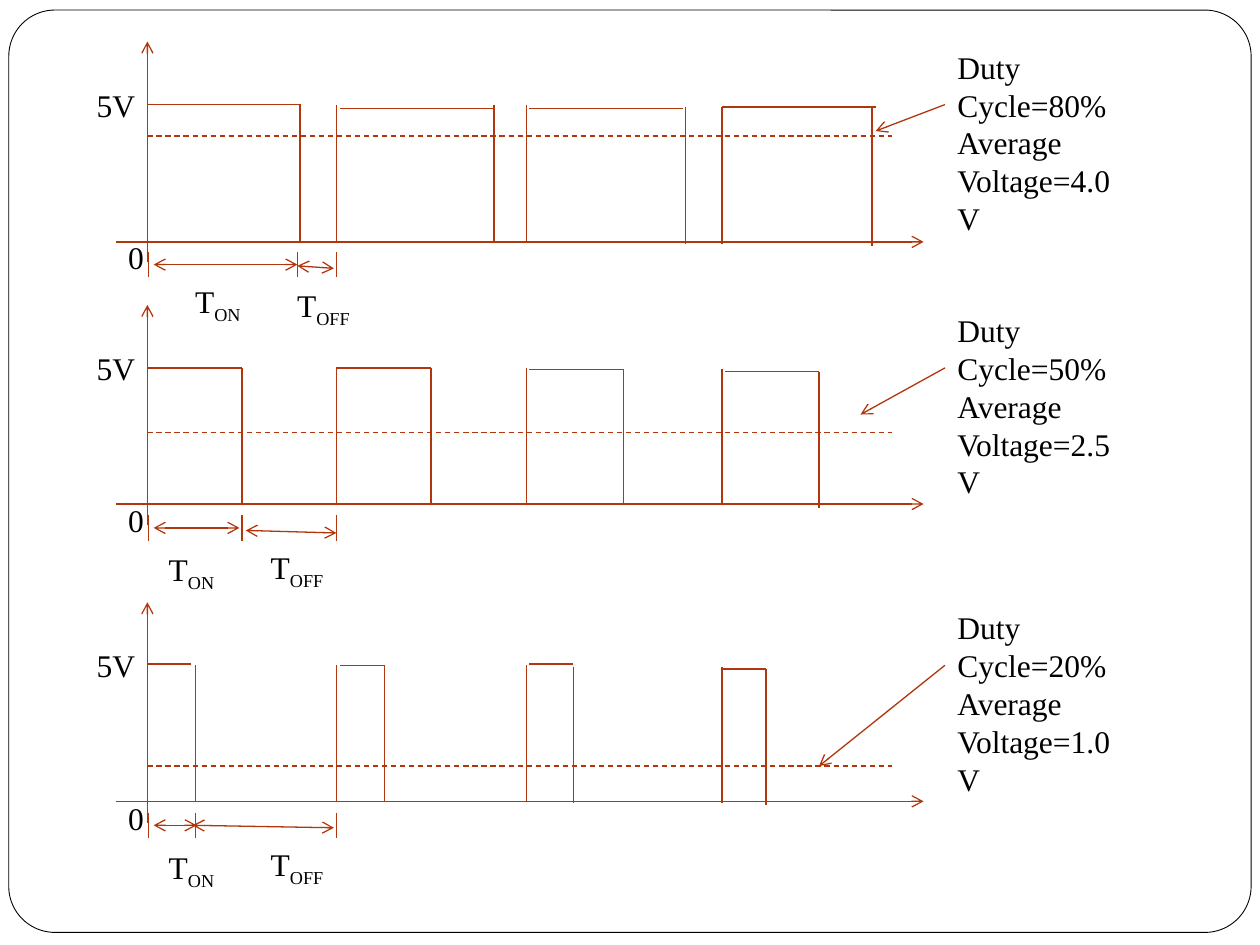
from dataclasses import dataclass
from lxml import etree
from pptx import Presentation
from pptx.dml.color import RGBColor
from pptx.enum.dml import MSO_LINE
from pptx.enum.shapes import MSO_CONNECTOR, MSO_SHAPE
from pptx.enum.text import PP_ALIGN
from pptx.oxml.ns import qn
from pptx.util import Inches, Pt

BLACK = RGBColor(0x00, 0x00, 0x00)
WHITE = RGBColor(0xFF, 0xFF, 0xFF)
RUST = RGBColor(0xB1, 0x36, 0x0B)
STRAIGHT, ROUNDED, DASH = MSO_CONNECTOR.STRAIGHT, MSO_SHAPE.ROUNDED_RECTANGLE, MSO_LINE.DASH
LEFT, RIGHT = PP_ALIGN.LEFT, PP_ALIGN.RIGHT
FONT = "Times New Roman"
COLS, ROWS = 100, 75
AXIS_X, PERIOD_X = 11.7, 26.7
RISES = (AXIS_X, PERIOD_X, 41.8, 57.3)
HIGH = 5


@dataclass(frozen=True)
class Pulse:
    """Top edge start, fall column, and the drops of both edges below 5 V."""
    start: float
    fall: float
    top_drop: float = 0
    fall_drop: float = 0


@dataclass(frozen=True)
class Wave:
    """One duty-cycle diagram; rows count down from its axis tip."""
    top: float
    base: float
    width: float
    last_rise_drop: float
    pulses: tuple[Pulse, ...]
    average: float
    pointer: tuple[float, float]
    note: tuple[str, ...]
    on_end: float
    on_tick: float
    off_span: tuple[float, float, float]
    on_label: tuple[float, float]
    off_label: tuple[float, float]


WAVES = (
    Wave(3.3, 15.9, 12.2, 0.2,
         (Pulse(AXIS_X, 23.8), Pulse(27, 39.2, 0.3), Pulse(42, 54.4, 0.3, 0.2),
          Pulse(57.3, 69.2, 0.2, 0.3)),
         7.5, (69.5, 7.1), ("Duty Cycle=80% Average Voltage=4.0V",),
         23.6, 23.6, (23.6, 26.5, 17.8), (14.5, 18.6), (22.6, 18.9)),
    Wave(24.2, 15.8, 7.5, 0.1,
         (Pulse(AXIS_X, 19.2), Pulse(PERIOD_X, 34.2), Pulse(42, 49.5, 0.1, 0.1),
          Pulse(57.5, 65, 0.3, 0.3)),
         10.1, (68.3, 8.7), ("Duty Cycle=50% Average Voltage=2.5V",),
         19, 19.2, (19.5, 26.7, 17.9), (12.4, 19), (20.5, 18.8)),
    Wave(47.8, 15.8, 3.5, 0.1,
         (Pulse(AXIS_X, 15.5, -0.1), Pulse(27, 30.5), Pulse(42, 45.5, -0.1, 0.1),
          Pulse(57.3, 60.8, 0.3, 0.3)),
         13, (65, 13), ("Duty Cycle=20%", "Average Voltage=1.0V"),
         15.6, 15.5, (15.3, 26.5, 17.7), (12.4, 19), (20.5, 18.8)),
)


@dataclass
class Canvas:
    """A slide measured in grid columns and rows."""
    shapes: object
    col: float
    row: float

    def line(self, x1: float, y1: float, x2: float, y2: float,
             head: bool = False, tail: bool = False, dashed: bool = False) -> None:
        """Draw a straight line with optional arrowheads."""
        c = self.shapes.add_connector(STRAIGHT, round(x1 * self.col), round(y1 * self.row),
                                      round(x2 * self.col), round(y2 * self.row))
        c.line.color.rgb = RUST
        c.line.width = Pt(0.75)
        if dashed:
            c.line.dash_style = DASH
        ln = c.line._get_or_add_ln()
        for tag, shown in (("a:headEnd", head), ("a:tailEnd", tail)):
            if shown:
                etree.SubElement(ln, qn(tag)).set("type", "arrow")
        etree.SubElement(c._element.spPr, qn("a:effectLst"))

    def text(self, x: float, y: float, w: float, h: float, lines: tuple[str, ...],
             align: PP_ALIGN = LEFT, sub: str = "", wrap: bool = True) -> None:
        """Place text, with an optional subscript after it."""
        tf = self.shapes.add_textbox(round(x * self.col), round(y * self.row),
                                     round(w * self.col), round(h * self.row)).text_frame
        tf.word_wrap = wrap
        for i, line in enumerate(lines):
            p = tf.add_paragraph() if i else tf.paragraphs[0]
            p.alignment = align
            p.font.name, p.font.size = FONT, Pt(18)
            p.font.color.rgb = BLACK
            p.add_run().text = line
            if sub:
                r = p.add_run()
                r.text = sub
                r.font._element.set("baseline", "-25000")

    def frame(self) -> None:
        """Draw the rounded slide border."""
        sp = self.shapes.add_shape(ROUNDED, round(0.7 * self.col), round(0.8 * self.row),
                                   round(98.6 * self.col), round(73.2 * self.row))
        sp.adjustments[0] = 0.05
        sp.shadow.inherit = False
        sp.fill.solid()
        sp.fill.fore_color.rgb = WHITE
        sp.line.color.rgb = BLACK
        sp.line.width = Pt(0.5)


def draw_wave(cv: Canvas, wave: Wave) -> None:
    """Draw axes, pulses, average level, timing marks and labels."""
    top, high, base = wave.top, wave.top + HIGH, wave.top + wave.base
    cv.line(9.2, base, 73.3, base, tail=True)
    cv.line(AXIS_X, top + 17.5, AXIS_X, top, tail=True)
    for x in RISES[1:]:
        drop = wave.last_rise_drop if x == RISES[-1] else 0
        cv.line(x, high + drop, x, base + drop)
    for pulse in wave.pulses:
        y = high + pulse.top_drop
        cv.line(pulse.start, y, pulse.start + wave.width, y)
        cv.line(pulse.fall, high + pulse.fall_drop, pulse.fall, base + pulse.fall_drop)
    cv.line(AXIS_X, top + wave.average, 70.8, top + wave.average, dashed=True)
    cv.line(75, high, wave.pointer[0], top + wave.pointer[1], tail=True)
    for x in (11.8, wave.on_tick, PERIOD_X):
        cv.line(x, top + 16.7, x, top + 18.7)
    cv.line(12.2, top + 17.7, wave.on_end, top + 17.7, head=True, tail=True)
    x1, x2, y = wave.off_span
    cv.line(x1, top + y, x2, top + y + 0.2, head=True, tail=True)
    cv.text(5, top + 3, 6.7, 4, ("5V",), RIGHT)
    cv.text(5.7, top + 15.1, 6.7, 4, ("0",), RIGHT)
    cv.text(75, top, 15.8, 13.1, wave.note)
    for (x, y), w, sub in ((wave.on_label, 5.7, "ON"), (wave.off_label, 7.4, "OFF")):
        cv.text(x, top + y, w, 4, ("T",), sub=sub, wrap=False)


def main() -> None:
    """Build the duty-cycle slide."""
    prs = Presentation()
    prs.slide_width, prs.slide_height = Inches(10), Inches(7.5)
    s = prs.slides.add_slide(prs.slide_layouts[6])
    cv = Canvas(s.shapes, prs.slide_width / COLS, prs.slide_height / ROWS)
    cv.frame()
    for wave in WAVES:
        draw_wave(cv, wave)
    prs.save("out.pptx")


if __name__ == "__main__":
    main()
